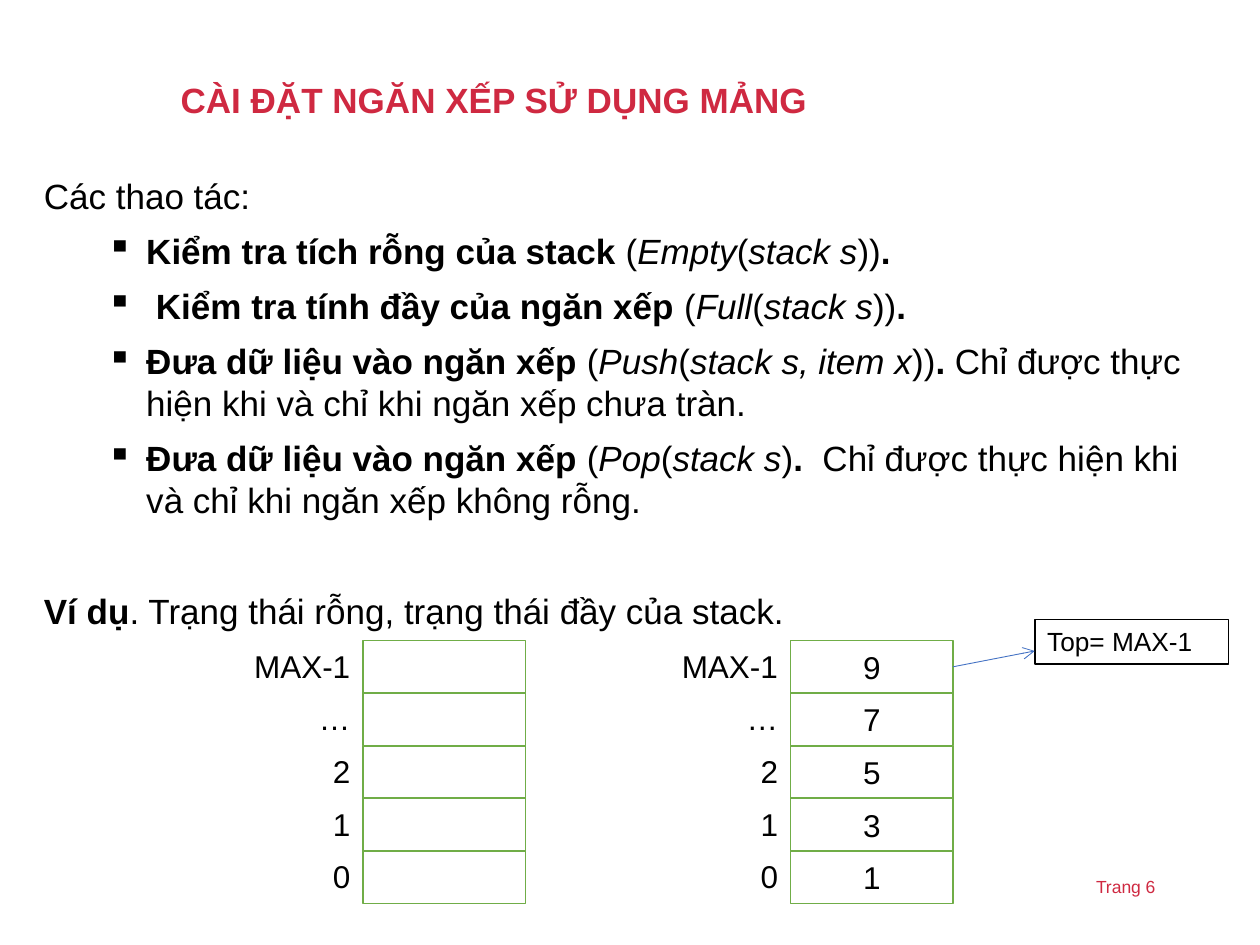
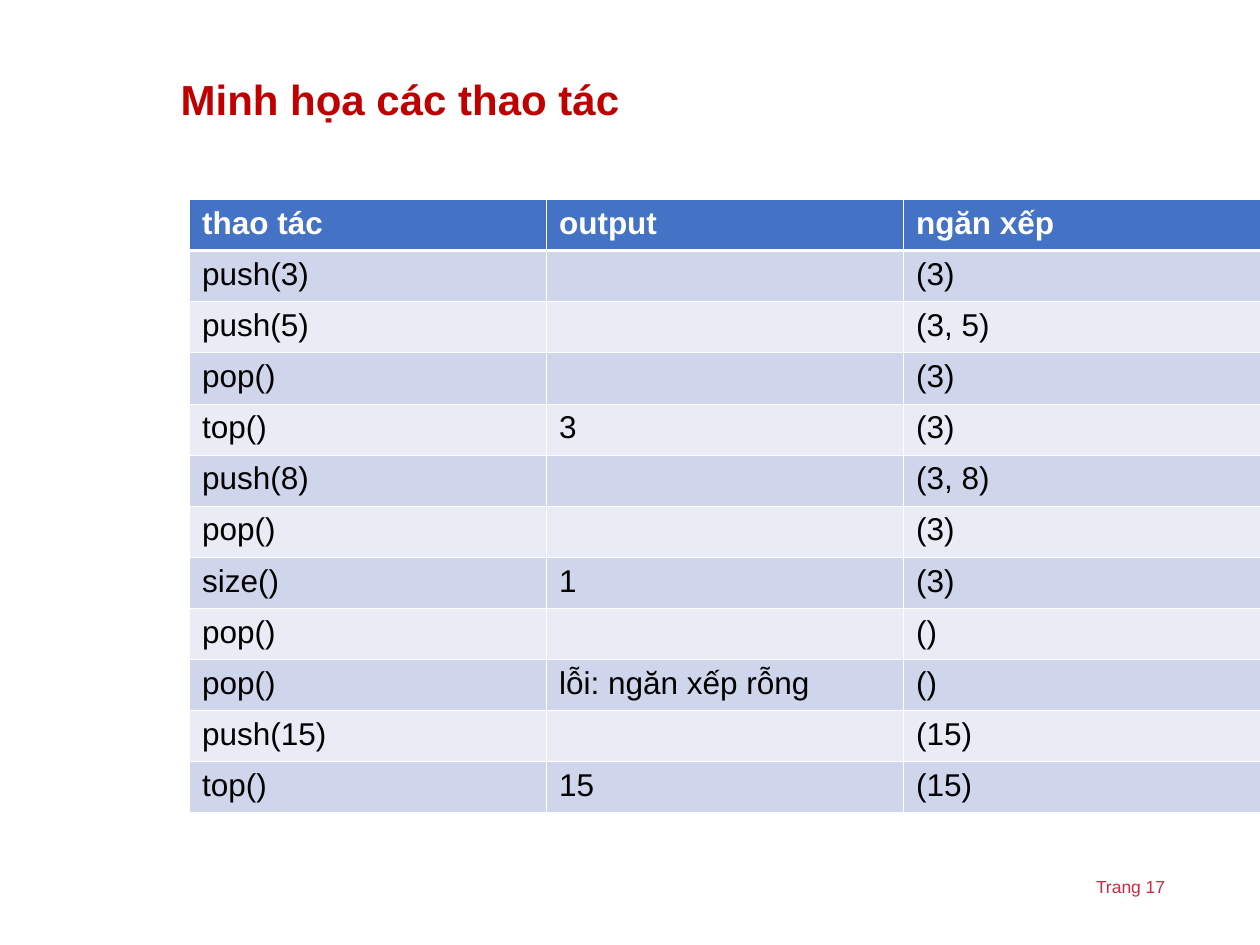
from lxml.etree import SubElement
from pptx import Presentation
from pptx.dml.color import RGBColor
from pptx.enum.shapes import MSO_CONNECTOR, MSO_SHAPE
from pptx.enum.text import MSO_ANCHOR, PP_ALIGN
from pptx.oxml.ns import qn
from pptx.util import Pt

FONT = "Arial"
BLACK, WHITE, CRIMSON, DARK_RED = "000000", "FFFFFF", "CF2941", "C00000"
GREEN, BLUE, BAND_DARK, BAND_LIGHT = "70AD47", "4472C4", "CFD5EA", "E9EBF5"
TITLE_BOX = (96, 29, 574.5, 59)
FOOTER_BOX = (619.2, 496.8, 87, 19.4)
INDEXES = ["MAX-1", "…", "2", "1", "0"]
OPERATIONS = [
    ("Kiểm tra tích rỗng của stack ", "Empty", "stack s", "))", ""),
    (" Kiểm tra tính đầy của ngăn xếp ", "Full", "stack s", "))", ""),
    ("Đưa dữ liệu vào ngăn xếp ", "Push", "stack s, item x", "))",
     " Chỉ được thực hiện khi và chỉ khi ngăn xếp chưa tràn."),
    ("Đưa dữ liệu vào ngăn xếp ", "Pop", "stack s", ")",
     "  Chỉ được thực hiện khi và chỉ khi ngăn xếp không rỗng."),
]
STEPS = [
    ("thao tác", "output", "ngăn xếp"),
    ("push(3)", "", "(3)"),
    ("push(5)", "", "(3, 5)"),
    ("pop()", "", "(3)"),
    ("top()", "3", "(3)"),
    ("push(8)", "", "(3, 8)"),
    ("pop()", "", "(3)"),
    ("size()", "1", "(3)"),
    ("pop()", "", "()"),
    ("pop()", "lỗi: ngăn xếp rỗng", "()"),
    ("push(15)", "", "(15)"),
    ("top()", "15", "(15)"),
]


def rgb(color):
    """Turn a hex string into a colour."""
    return RGBColor.from_string(color)


def points(*values):
    """Turn numbers into point lengths."""
    return [Pt(v) for v in values]


def style(p, size, color=BLACK, bold=None, align=PP_ALIGN.LEFT):
    """Set the font and alignment of a paragraph."""
    p.font.name, p.font.size, p.font.bold = FONT, Pt(size), bold
    p.font.color.rgb = rgb(color)
    p.alignment = align


def add_text(s, box, text, size, color=BLACK, align=PP_ALIGN.LEFT):
    """Add a one-paragraph text box."""
    tf = s.shapes.add_textbox(*points(*box)).text_frame
    tf.word_wrap = True
    tf.text = text
    style(tf.paragraphs[0], size, color, align=align)


def add_rect(s, box, line, text="", size=18, align=PP_ALIGN.CENTER):
    """Add a white outlined rectangle with text."""
    sp = s.shapes.add_shape(MSO_SHAPE.RECTANGLE, *points(*box))
    sp.shadow.inherit = False
    sp.fill.solid()
    sp.fill.fore_color.rgb = rgb(WHITE)
    sp.line.color.rgb = rgb(line)
    sp.line.width = Pt(1)
    sp.text_frame.text = text
    style(sp.text_frame.paragraphs[0], size, align=align)
    return sp


def add_slide(prs, title, size, color, page):
    """Add a slide with its title and page footer."""
    s = prs.slides.add_slide(prs.slide_layouts[5])
    sp = s.shapes.title
    sp.left, sp.top, sp.width, sp.height = points(*TITLE_BOX)
    tf = sp.text_frame
    tf.text = title
    tf.vertical_anchor = MSO_ANCHOR.MIDDLE
    style(tf.paragraphs[0], size, color, bold=True)
    tf.paragraphs[0].line_spacing = 0.9
    add_text(s, FOOTER_BOX, f"Trang {page}", 10, CRIMSON)
    return s


def add_runs(tf, runs, first=False):
    """Add a paragraph of (text, style letter) runs."""
    p = tf.paragraphs[0] if first else tf.add_paragraph()
    style(p, 20)
    p.space_before = Pt(7.5)
    for text, letter in runs:
        r = p.add_run()
        r.text = text
        r.font.bold, r.font.italic = letter == "b", letter == "i"
    return p


def add_operations(s, box):
    """Add the bulleted list of stack operations."""
    tf = s.shapes.add_textbox(*points(*box)).text_frame
    tf.word_wrap = True
    add_runs(tf, [("Các thao tác:", "")], first=True)
    for label, name, args, close, note in OPERATIONS:
        runs = [(label, "b"), ("(", ""), (name, "i"), ("(", ""),
                (args, "i"), (close, ""), (".", "b")]
        p = add_runs(tf, runs + ([(note, "")] if note else []))
        p.level = 1
        pPr = p._p.get_or_add_pPr()
        pPr.set("marL", str(Pt(58.5)))
        pPr.set("indent", str(Pt(-22.5)))
        bullet = pPr.makeelement(qn("a:buChar"), {"char": "▪"})
        pPr.insert_element_before(bullet, "a:tabLst", "a:defRPr", "a:extLst")
    p = add_runs(tf, [("Ví dụ", "b"),
                      (". Trạng thái rỗng, trạng thái đầy của stack.", "")])
    p.space_before = Pt(39)


def add_stack(s, box, values):
    """Draw a stack with index labels and return its top cell."""
    x, y, w, h = box
    label_w, cell_h = 87.3, h / len(INDEXES)
    cells = []
    for i, (index, value) in enumerate(zip(INDEXES, values)):
        top = y + i * cell_h
        add_text(s, (x, top, label_w, 29), index, 18, align=PP_ALIGN.RIGHT)
        cells.append(add_rect(s, (x + label_w, top, w - label_w, cell_h), GREEN, value))
    return cells[0]


def add_top_pointer(s, box, cell):
    """Add the top label and the arrow from the top cell to it."""
    x, y, w, h = box
    sp = add_rect(s, box, BLACK, "Top= MAX-1", 15, PP_ALIGN.LEFT)
    sp.text_frame.vertical_anchor = MSO_ANCHOR.TOP
    arrow = s.shapes.add_connector(MSO_CONNECTOR.STRAIGHT, *points(x, y, x, y + 18))
    arrow.begin_connect(cell, 3)
    arrow.line.color.rgb = rgb(BLUE)
    arrow.line.width = Pt(0.5)
    SubElement(arrow.line._get_or_add_ln(), qn("a:tailEnd"), type="arrow")
    SubElement(arrow._element.spPr, qn("a:effectLst"))


def set_borders(cell, widths):
    """Draw white borders around a cell, widths by side."""
    tcPr = cell._tc.get_or_add_tcPr()
    for side, width in widths.items():
        ln = SubElement(tcPr, qn(f"a:ln{side}"), w=str(Pt(width)))
        SubElement(SubElement(ln, qn("a:solidFill")), qn("a:srgbClr"), val=WHITE)


def add_steps_table(s, box):
    """Add the banded table of operations."""
    rows, cols = len(STEPS), len(STEPS[0])
    table = s.shapes.add_table(rows, cols, *points(*box)).table
    for column in table.columns:
        column.width = Pt(box[2] / cols)
    for i, texts in enumerate(STEPS):
        table.rows[i].height = Pt(box[3] / rows)
        header = i == 0
        fill = BLUE if header else BAND_DARK if i % 2 else BAND_LIGHT
        widths = {"L": 0.45, "R": 0.45, "T": 1.47 if i == 1 else 0.45,
                  "B": 1.47 if header else 0.45}
        for cell, text in zip(table.rows[i].cells, texts):
            set_borders(cell, widths)
            cell.fill.solid()
            cell.fill.fore_color.rgb = rgb(fill)
            cell.text = text
            style(cell.text_frame.paragraphs[0], 18, WHITE if header else BLACK, header)


def array_slide(prs):
    """Build the slide on the array implementation."""
    s = add_slide(prs, "CÀI ĐẶT NGĂN XẾP SỬ DỤNG MẢNG", 20, CRIMSON, 6)
    add_operations(s, (18, 96, 684, 268.5))
    add_stack(s, (120, 366, 180.3, 150.3), [""] * len(INDEXES))
    full_top = add_stack(s, (364.4, 366, 180.3, 150.3), "97531")
    add_top_pointer(s, (591.3, 354, 110.7, 25.4), full_top)


def steps_slide(prs):
    """Build the slide that traces the operations."""
    s = add_slide(prs, "Minh họa các thao tác", 24, DARK_RED, 17)
    add_steps_table(s, (108.3, 114, 612, 350.4))


def main():
    """Build and save the presentation."""
    prs = Presentation()
    prs.slide_width, prs.slide_height = points(720, 540)
    array_slide(prs)
    steps_slide(prs)
    prs.save("out.pptx")


if __name__ == "__main__":
    main()
